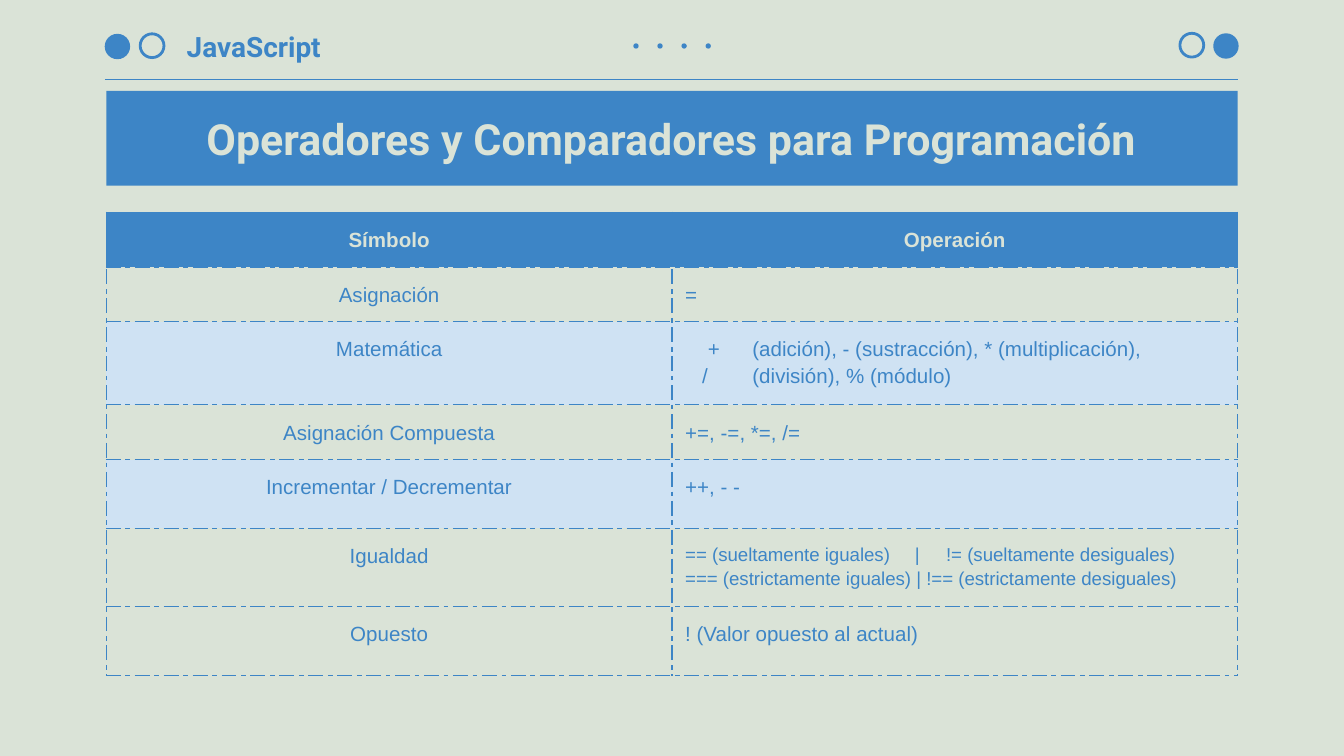
"""Build the slide on JavaScript operators and comparators."""
from lxml import etree
from pptx import Presentation
from pptx.dml.color import RGBColor
from pptx.enum.shapes import MSO_CONNECTOR, MSO_SHAPE
from pptx.enum.text import MSO_ANCHOR, PP_ALIGN
from pptx.oxml.ns import qn
from pptx.util import Cm, Pt

OVAL, RECT = MSO_SHAPE.OVAL, MSO_SHAPE.RECTANGLE
STRAIGHT = MSO_CONNECTOR.STRAIGHT
MIDDLE = MSO_ANCHOR.MIDDLE
LEFT, CENTER = PP_ALIGN.LEFT, PP_ALIGN.CENTER
BLUE = RGBColor(0x3D, 0x85, 0xC6)
SAGE = RGBColor(0xDA, 0xE3, 0xD7)
PALE = RGBColor(0xCF, 0xE2, 0xF3)


def add_shape(kind, x, y, w, h, filled=True):
    sp = s.shapes.add_shape(kind, Cm(x), Cm(y), Cm(w), Cm(h))
    sp.shadow.inherit = False
    if filled:
        sp.fill.solid()
        sp.fill.fore_color.rgb = BLUE
        sp.line.fill.background()
    else:
        sp.fill.background()
        sp.line.color.rgb = BLUE
        sp.line.width = Pt(1.5)
    return sp


def format_text(p, font, size, color, bold, align):
    p.alignment = align
    for r in p.runs:
        r.font.name = font
        r.font.size = Pt(size)
        r.font.bold = bold
        r.font.color.rgb = color


prs = Presentation()
prs.slide_width, prs.slide_height = Cm(25.4), Cm(14.29)
s = prs.slides.add_slide(prs.slide_layouts[6])
s.background.fill.solid()
s.background.fill.fore_color.rgb = SAGE

line = s.shapes.add_connector(STRAIGHT, Cm(1.98), Cm(1.5), Cm(23.39), Cm(1.5))
line.line.color.rgb = BLUE
line.line.width = Pt(0.75)
etree.SubElement(line._element.spPr, qn("a:effectLst"))

for x, y, d, filled in [(1.98, 0.64, 0.48, True), (2.65, 0.64, 0.45, False),
                        (22.3, 0.63, 0.45, False), (22.93, 0.63, 0.48, True)]:
    add_shape(OVAL, x, y, d, d, filled)
for i in range(4):
    add_shape(OVAL, 11.97 + 0.455 * i, 0.82, 0.1, 0.1)

tb = s.shapes.add_textbox(Cm(3.28), Cm(0.41), Cm(3.18), Cm(0.94))
title = add_shape(RECT, 2.01, 1.72, 21.38, 1.79)
for sp, text, size, color, align in [
        (tb, "JavaScript", 15, BLUE, LEFT),
        (title, "Operadores y Comparadores para Programación", 23, SAGE, CENTER)]:
    tf = sp.text_frame
    tf.word_wrap = True
    tf.vertical_anchor = MIDDLE
    tf.margin_left = tf.margin_right = tf.margin_top = tf.margin_bottom = Cm(0.25)
    tf.text = text
    format_text(tf.paragraphs[0], "Roboto", size, color, True, align)

rows = [
    ("Símbolo", "Operación", 0.86, BLUE),
    ("Asignación", "=", 0.86, None),
    ("Matemática", "(adición), - (sustracción), * (multiplicación),\n"
                   "/\t(división), % (módulo)", 1.3, PALE),
    ("Asignación Compuesta", "+=, -=, *=, /=", 0.86, None),
    ("Incrementar / Decrementar", "++, - -", 1.3, PALE),
    ("Igualdad", "== (sueltamente iguales)\t|\t!= (sueltamente desiguales)\n"
                 "=== (estrictamente iguales) | !== (estrictamente desiguales)", 1.3, None),
    ("Opuesto", "! (Valor opuesto al actual)", 1.3, None),
]
table = s.shapes.add_table(len(rows), 2, Cm(2.01), Cm(4.01), Cm(21.38),
                           Cm(sum(row[2] for row in rows))).table
for col in table.columns:
    col.width = Cm(10.69)
for i, (symbol, operation, height, fill) in enumerate(rows):
    table.rows[i].height = Cm(height)
    header = i == 0
    for j, text in enumerate((symbol, operation)):
        cell = table.cell(i, j)
        cell.margin_left = cell.margin_right = Cm(0.25)
        cell.margin_top = cell.margin_bottom = Cm(0.25)
        tcPr = cell._tc.get_or_add_tcPr()
        for side in ("lnL", "lnR", "lnT", "lnB"):
            ln = etree.SubElement(tcPr, qn(f"a:{side}"), w=str(Pt(0.75)))
            solid = etree.SubElement(ln, qn("a:solidFill"))
            etree.SubElement(solid, qn("a:srgbClr"), val=str(BLUE))
            etree.SubElement(ln, qn("a:prstDash"), val="dashDot")
        if fill is None:
            cell.fill.background()
        else:
            cell.fill.solid()
            cell.fill.fore_color.rgb = fill
        cell.text_frame.text = text
        size = 10 if j and symbol == "Igualdad" else 11
        for p in cell.text_frame.paragraphs:
            p.line_spacing = 1.15
            format_text(p, "Arial", size, SAGE if header else BLUE, header,
                        CENTER if header or j == 0 else LEFT)

addition, division = table.cell(2, 1).text_frame.paragraphs
pPr = addition._p.get_or_add_pPr()
pPr.set("marL", str(Cm(1.27)))
pPr.set("indent", str(Cm(-0.84)))
buClr = etree.SubElement(pPr, qn("a:buClr"))
etree.SubElement(buClr, qn("a:srgbClr"), val=str(BLUE))
etree.SubElement(pPr, qn("a:buFont"), typeface="Arial")
etree.SubElement(pPr, qn("a:buChar"), char="+")
division._p.get_or_add_pPr().set("indent", str(Cm(0.32)))

equality = table.cell(5, 1).text_frame.paragraphs[0]
for p, stops in [(division, [1.29]), (equality, [4.34, 4.93])]:
    tabs = etree.SubElement(p._p.get_or_add_pPr(), qn("a:tabLst"))
    for stop in stops:
        etree.SubElement(tabs, qn("a:tab"), pos=str(Cm(stop)), algn="l")

prs.save("out.pptx")
